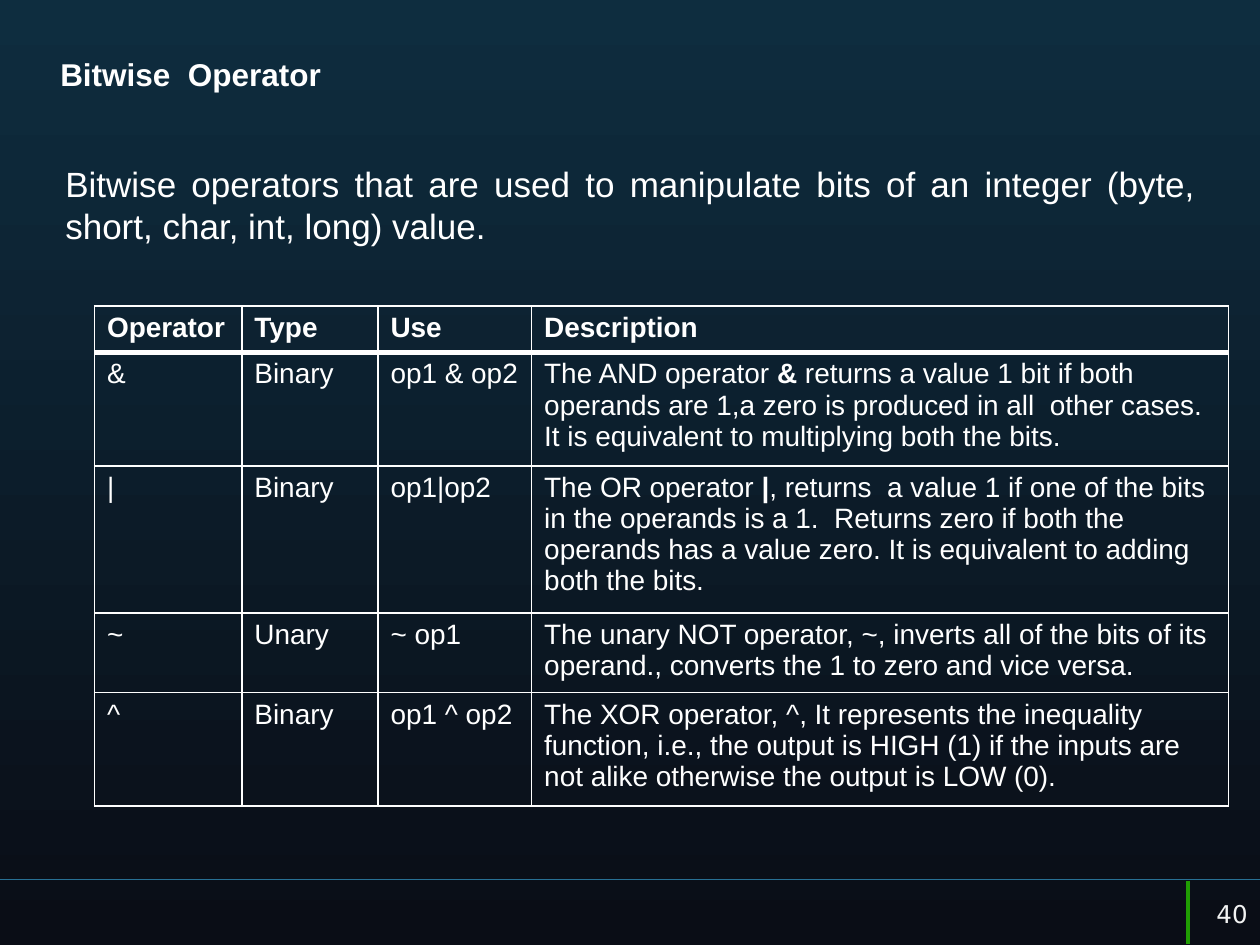
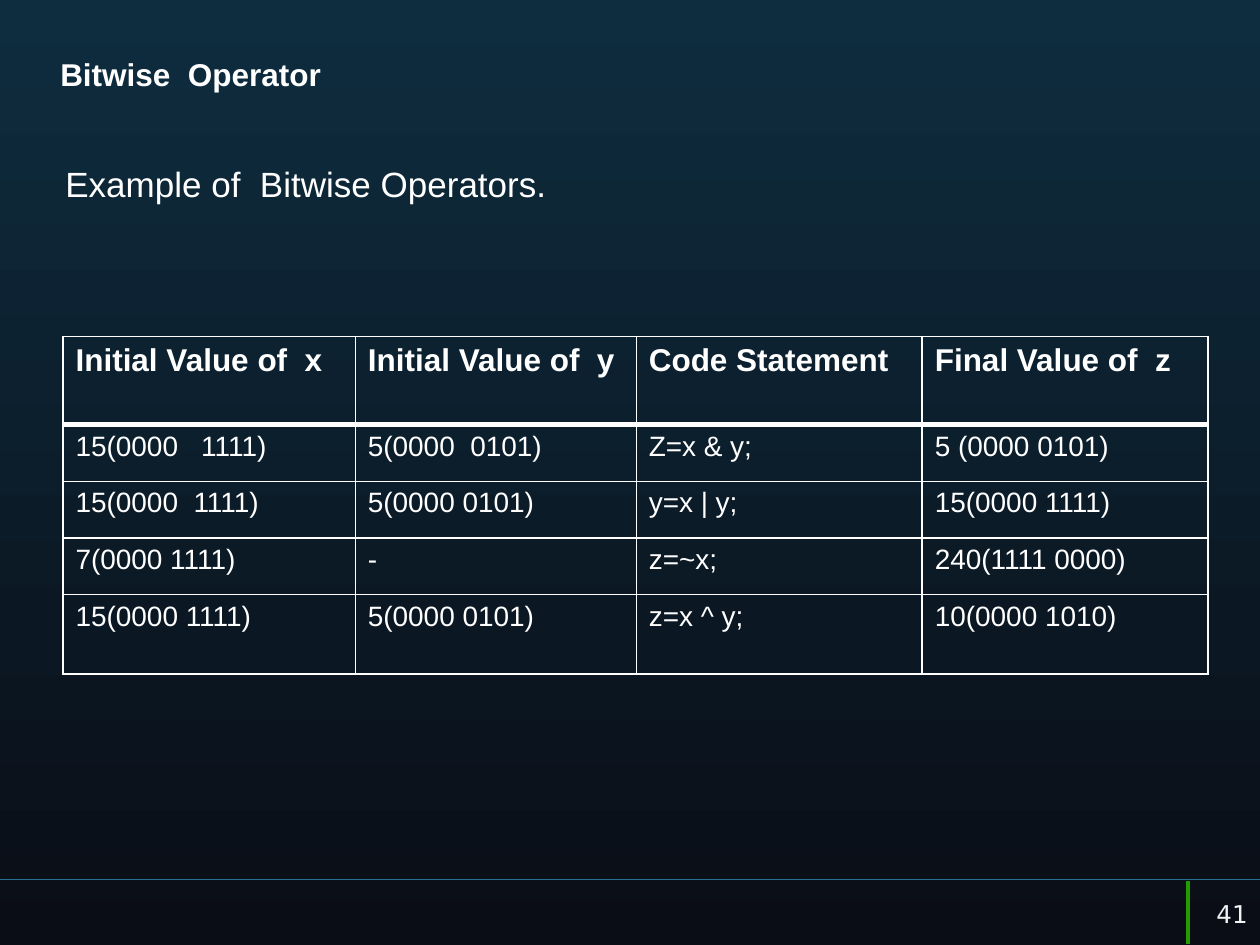
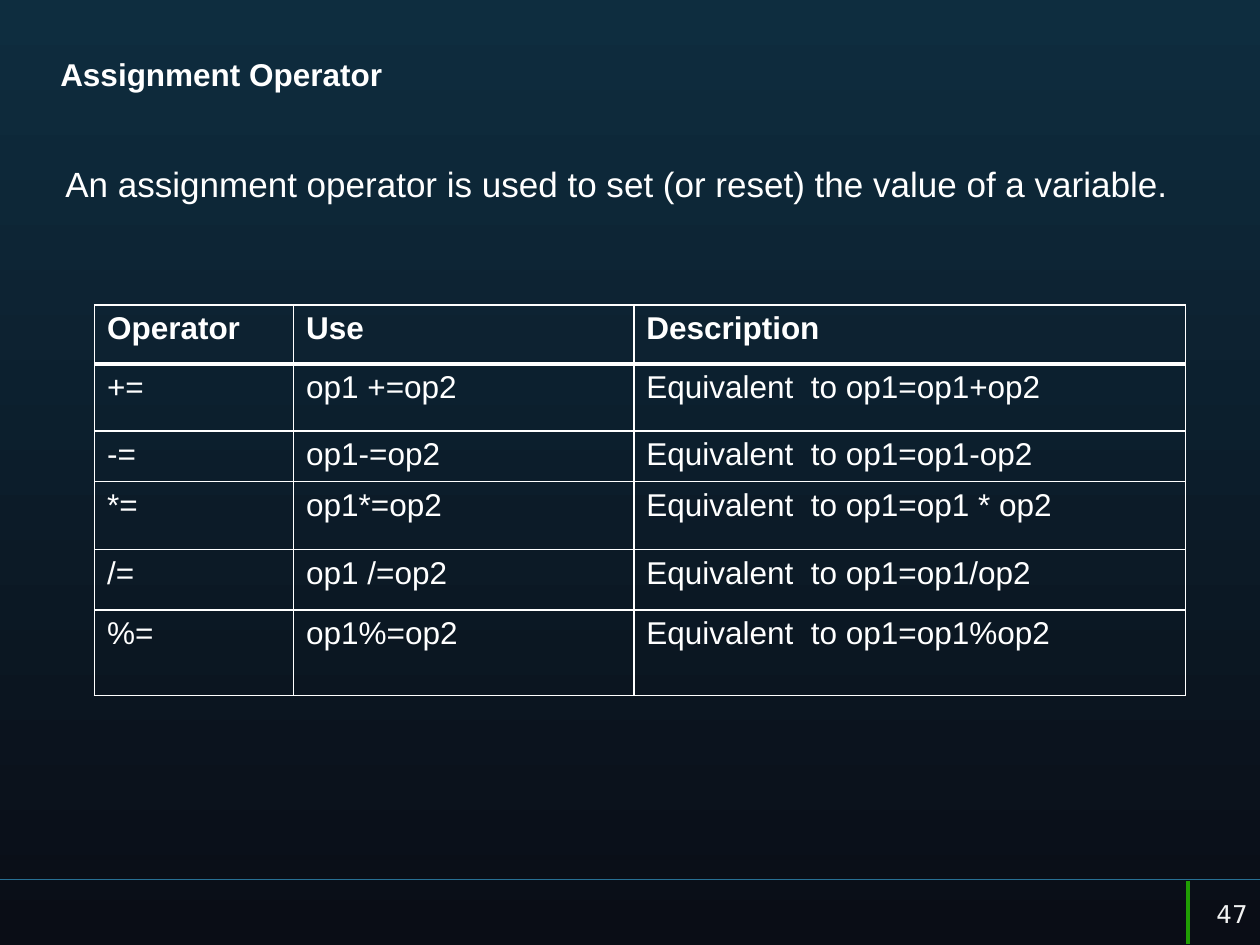
import pptx
import pptx.dml.color
import pptx.enum.shapes
import pptx.enum.text
import pptx.oxml
import pptx.oxml.ns
import pptx.util

PX = 9144  # EMU per px, 100 px to the inch
WHITE = "FFFFFF"
ALIGN = pptx.enum.text.PP_ALIGN
ANCHOR = pptx.enum.text.MSO_ANCHOR

# Each slide: number, title, lead, table corner, columns, rows, head size, body size, cells.
# Text between ** marks is bold.
SLIDES = [
    (40, "Bitwise  Operator",
     "Bitwise operators that are used to manipulate bits of an integer "
     "(byte, short, char, int, long) value.",
     (75, 243), [117, 108, 122, 553], [28, 80, 99, 62, 80], 16, 16,
     [["Operator", "Type", "Use", "Description"],
      ["&", "Binary", "op1 & op2",
       "The AND operator **&** returns a value 1 bit if both operands are 1,"
       "a zero is produced in all  other cases. It is equivalent to "
       "multiplying both the bits."],
      ["|", "Binary", "op1|op2",
       "The OR operator **|**, returns  a value 1 if one of the bits in the "
       "operands is a 1.  Returns zero if both the operands has a value zero. "
       "It is equivalent to adding both the bits."],
      ["~", "Unary", "~ op1",
       "The unary NOT operator, ~, inverts all of the bits of its operand., "
       "converts the 1 to zero and vice versa."],
      ["^", "Binary", "op1 ^ op2",
       "The XOR operator, ^, It represents the inequality function, i.e., the "
       "output is HIGH (1) if the inputs are not alike otherwise the output "
       "is LOW (0)."]]),
    (41, "Bitwise  Operator", "Example of  Bitwise Operators.",
     (50, 267), [232, 223, 227, 227], [70, 45, 45, 45, 63], 18, 16,
     [["Initial Value of  x", "Initial Value of  y", "Code Statement", "Final Value of  z"],
      ["15(0000   1111)", "5(0000  0101)", "Z=x & y;", "5 (0000 0101)"],
      ["15(0000  1111)", "5(0000 0101)", "y=x | y;", "15(0000 1111)"],
      ["7(0000 1111)", "-", "z=~x;", "240(1111 0000)"],
      ["15(0000 1111)", "5(0000 0101)", "z=x ^ y;", "10(0000 1010)"]]),
    (47, "Assignment Operator",
     "An assignment operator is used to set (or reset) the value of a variable.",
     (75, 242), [158, 270, 438], [47, 53, 39, 54, 48, 68], 18, 18,
     [["Operator", "Use", "Description"],
      ["+=", "op1 +=op2", "Equivalent  to op1=op1+op2"],
      ["-=", "op1-=op2", "Equivalent  to op1=op1-op2"],
      ["*=", "op1*=op2", "Equivalent  to op1=op1 * op2"],
      ["/=", "op1 /=op2", "Equivalent  to op1=op1/op2"],
      ["%=", "op1%=op2", "Equivalent  to op1=op1%op2"]]),
]

RULES = [((1000, 698), (0, 698), "287094", 0.75),
         ((943, 699), (943, 749), "209D03", 2)]


def paint(color, value):
    color.rgb = pptx.dml.color.RGBColor.from_string(value)


def write(frame, text, size, bold=False, color=WHITE, face="Arial", align=ALIGN.LEFT):
    """Fill a text frame with one paragraph; ** marks switch bold on and off."""
    frame.word_wrap = True
    para = frame.paragraphs[0]
    para.alignment = align
    font = para.font
    font.name, font.size, font.bold = face, pptx.util.Pt(size), bold
    paint(font.color, color)
    for i, part in enumerate(text.split("**")):
        run = para.add_run()
        run.text = part
        if i % 2:
            run.font.bold = True


deck = pptx.Presentation()
deck.slide_width, deck.slide_height = 1000 * PX, 750 * PX

for number, title, lead, (left, top), cols, rows, head, body, cells in SLIDES:
    slide = deck.slides.add_slide(deck.slide_layouts[6])
    fill = slide.background.fill
    fill.gradient()
    fill.gradient_angle = 270
    for stop, shade in zip(fill.gradient_stops, ["0E2D3F", "0A0D16"]):
        paint(stop.color, shade)

    for start, end, shade, width in RULES:
        rule = slide.shapes.add_connector(
            pptx.enum.shapes.MSO_CONNECTOR.STRAIGHT,
            *[n * PX for n in start + end])
        paint(rule.line.color, shade)
        rule.line.width = pptx.util.Pt(width)
        props = rule.line._get_or_add_ln().getparent()
        props.append(pptx.oxml.parse_xml(
            f'<a:effectLst {pptx.oxml.ns.nsdecls("a")}/>'))

    for box, text, style in [
        ((38, 39, 918, 66), title, {"size": 18, "bold": True}),
        ((42, 124, 917, 506), lead, {"size": 20, "align": ALIGN.JUSTIFY}),
        ((942, 700, 58, 50), str(number),
         {"size": 14, "color": "F2F2F2", "face": "DejaVu Sans", "align": ALIGN.RIGHT}),
    ]:
        frame = slide.shapes.add_textbox(*[n * PX for n in box]).text_frame
        write(frame, text, **style)
    frame.vertical_anchor = ANCHOR.MIDDLE

    table = slide.shapes.add_table(
        len(rows), len(cols), left * PX, top * PX, sum(cols) * PX, sum(rows) * PX).table
    table.first_row = table.horz_banding = False
    for col, width in zip(table.columns, cols):
        col.width = width * PX
    for r, height in enumerate(rows):
        table.rows[r].height = height * PX
        for c, text in enumerate(cells[r]):
            cell = table.cell(r, c)
            write(cell.text_frame, text, body if r else head, bold=r == 0)
            cell.fill.background()
            props = cell._tc.get_or_add_tcPr()
            for i, side in enumerate("LRTB"):
                thick = (r, side) in [(0, "B"), (1, "T")]
                width = pptx.util.Pt(3 if thick else 1)
                props.insert(i, pptx.oxml.parse_xml(
                    f'<a:ln{side} {pptx.oxml.ns.nsdecls("a")} w="{width}">'
                    f'<a:solidFill><a:srgbClr val="{WHITE}"/></a:solidFill></a:ln{side}>'))

deck.save("out.pptx")
